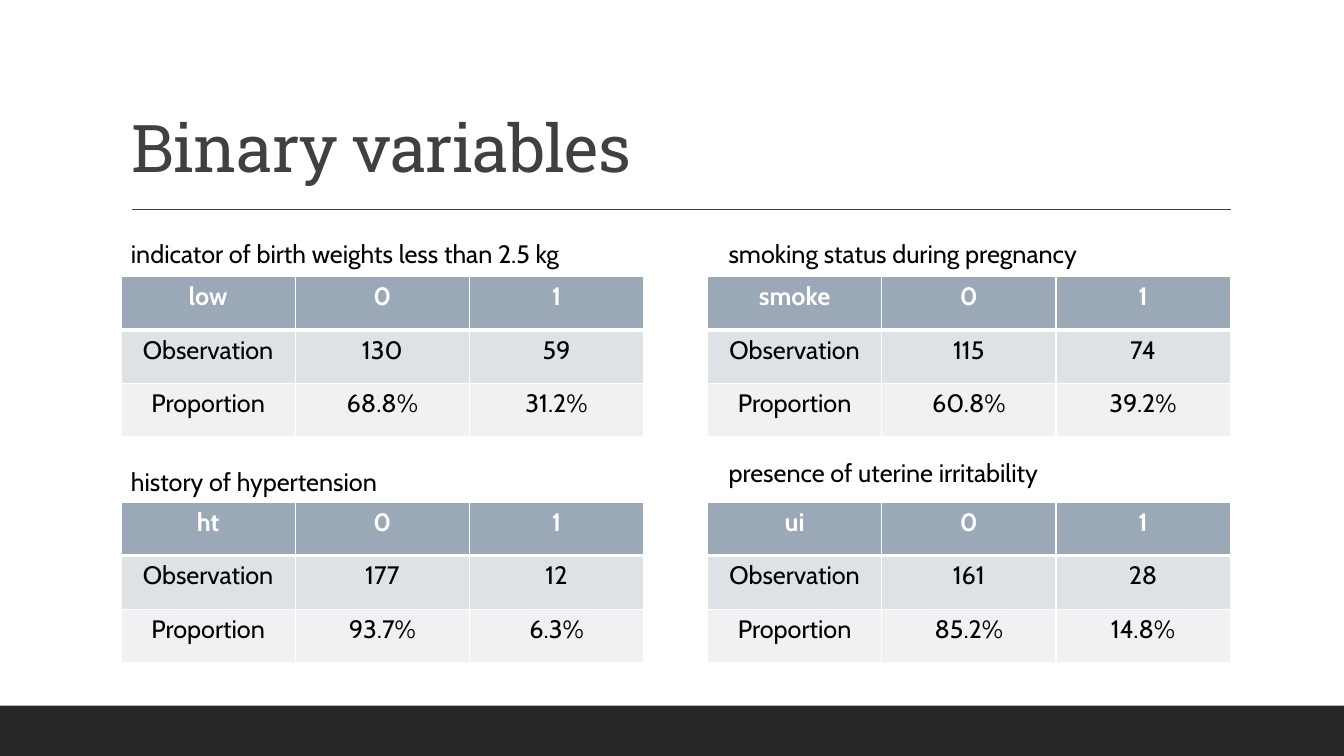
import pptx
import pptx.util
import pptx.dml.color
import pptx.enum.shapes
import pptx.enum.text
import pptx.oxml
import pptx.oxml.ns

Cm, Pt = pptx.util.Cm, pptx.util.Pt
ALIGN, ANCHOR = pptx.enum.text.PP_ALIGN, pptx.enum.text.MSO_ANCHOR

TITLE = "Binary variables"
# caption, caption top, variable, observations, proportions
GROUPS = [
    ("indicator of birth weights less than 2.5 kg", 5.89, "low",
     ("130", "59"), ("68.8%", "31.2%")),
    ("smoking status during pregnancy", 5.89, "smoke",
     ("115", "74"), ("60.8%", "39.2%")),
    ("history of hypertension", 11.63, "ht",
     ("177", "12"), ("93.7%", "6.3%")),
    ("presence of uterine irritability", 11.4, "ui",
     ("161", "28"), ("85.2%", "14.8%")),
]
FILLS = ["9BA8B7", "DEE1E6", "EFF1F3"]
WHITE, BLACK, GREY, DARK = "FFFFFF", "000000", "404040", "262626"

LEFT = 3.05
TABLE_X, TABLE_Y = (LEFT, 17.83), (6.96, 12.65)
LABEL_X = (LEFT, 18.11)
COL_W, ROW_H = 4.39, 1.35


def rgb(code):
    return pptx.dml.color.RGBColor.from_string(code)


def write(frame, text, size=18, font="Cabin", color=BLACK, bold=False,
          align=ALIGN.LEFT):
    para = frame.paragraphs[0]
    para.alignment = align
    run = para.add_run()
    run.text = text
    run.font.size = Pt(size)
    run.font.name = font
    run.font.bold = bold
    run.font.color.rgb = rgb(color)
    return para, run


def edge(cell, widths):
    """Draw white borders, with widths in points for left, right, top, bottom."""
    props = cell._tc.get_or_add_tcPr()
    for i, (side, width) in enumerate(zip("LRTB", widths)):
        props.insert(i, pptx.oxml.parse_xml(
            f'<a:ln{side} {pptx.oxml.ns.nsdecls("a")} w="{Pt(width)}">'
            f'<a:solidFill><a:srgbClr val="{WHITE}"/></a:solidFill>'
            f'</a:ln{side}>'))


def add_grid(slide, rows, x, y):
    table = slide.shapes.add_table(
        len(rows), len(rows[0]), Cm(x), Cm(y),
        Cm(COL_W * len(rows[0])), Cm(ROW_H * len(rows))).table
    for col in table.columns:
        col.width = Cm(COL_W)
    for r, row in enumerate(rows):
        table.rows[r].height = Cm(ROW_H)
        head = r == 0
        for c, text in enumerate(row):
            cell = table.cell(r, c)
            cell.fill.solid()
            cell.fill.fore_color.rgb = rgb(FILLS[r])
            edge(cell, (1, 1, 3 if r == 1 else 1, 3 if head else 1))
            write(cell.text_frame, text, color=WHITE if head else BLACK,
                  bold=head, align=ALIGN.CENTER)


def add_frame(slide):
    """Add the bottom band, the rule and the title."""
    band = slide.shapes.add_shape(
        pptx.enum.shapes.MSO_SHAPE.RECTANGLE, 0, Cm(17.78), Cm(33.87), Cm(1.27))
    band.shadow.inherit = False
    band.fill.solid()
    band.fill.fore_color.rgb = rgb(DARK)
    band.line.fill.background()

    rule = slide.shapes.add_connector(
        pptx.enum.shapes.MSO_CONNECTOR.STRAIGHT,
        Cm(3.33), Cm(5.28), Cm(31.01), Cm(5.28))
    rule.line.color.rgb = rgb(GREY)
    rule.line.width = Pt(1)
    rule._element.spPr.append(pptx.oxml.parse_xml(
        f'<a:effectLst {pptx.oxml.ns.nsdecls("a")}/>'))

    title = slide.shapes.title
    title.left, title.top = Cm(LEFT), Cm(0.79)
    title.width, title.height = Cm(27.94), Cm(4.04)
    frame = title.text_frame
    frame.auto_size = pptx.enum.text.MSO_AUTO_SIZE.NONE
    frame.vertical_anchor = ANCHOR.BOTTOM
    para, run = write(frame, TITLE, size=47, font="Roboto Slab", color=GREY)
    para.line_spacing = 0.9
    run.font._element.set("spc", "-50")


def main():
    deck = pptx.Presentation()
    deck.slide_width, deck.slide_height = Cm(33.87), Cm(19.05)
    slide = deck.slides.add_slide(deck.slide_layouts[5])
    add_frame(slide)
    for i, (label, top, name, counts, shares) in enumerate(GROUPS):
        row, col = divmod(i, 2)
        box = slide.shapes.add_textbox(
            Cm(LABEL_X[col]), Cm(top), Cm(12.88), Cm(1.02))
        box.text_frame.word_wrap = True
        write(box.text_frame, label)
        rows = [(name, "0", "1"), ("Observation", *counts),
                ("Proportion", *shares)]
        add_grid(slide, rows, TABLE_X[col], TABLE_Y[row])
    deck.save("out.pptx")


if __name__ == "__main__":
    main()
